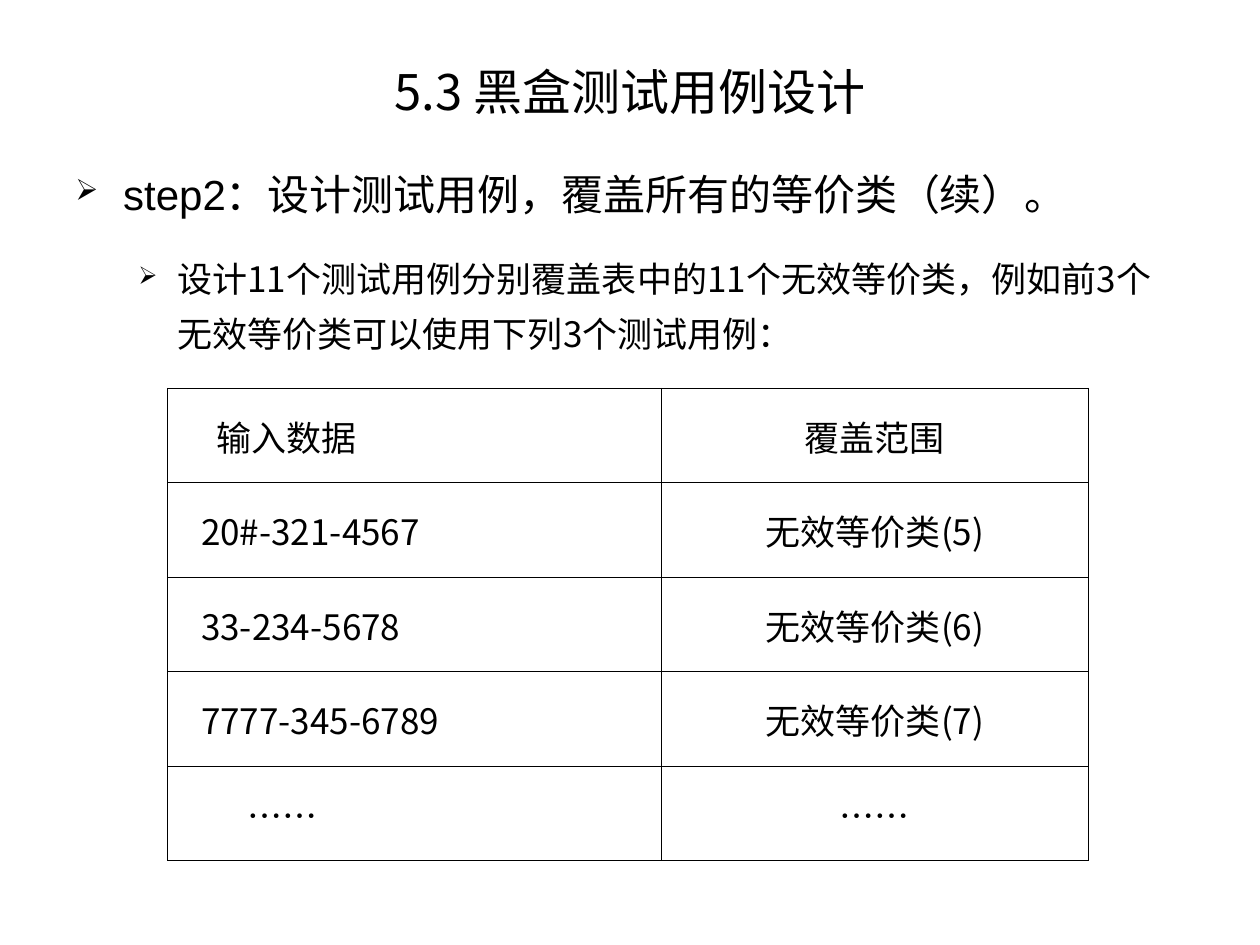
from dataclasses import dataclass

import pptx
import pptx.dml.color
import pptx.enum.text
import pptx.oxml
import pptx.oxml.ns
import pptx.util
from lxml import etree

Inches = pptx.util.Inches
Pt = pptx.util.Pt
ALIGN = pptx.enum.text.PP_ALIGN
MIDDLE = pptx.enum.text.MSO_ANCHOR.MIDDLE


@dataclass(frozen=True)
class Theme:
    """Hold the colours, fonts and type sizes of the slide."""
    ink: str = "000000"
    paper: str = "FFFFFF"
    latin: str = "Arial"
    chinese: str = "Noto Sans CJK SC"
    title: int = 28
    heading: int = 24
    text: int = 20
    border: float = 0.74
    bullet: str = "\u27a2"
    bullet_share: int = 70


THEME = Theme()
SLIDE_WIDTH, SLIDE_HEIGHT = 10, 7.5
TITLE_BOX = (0.05, 0.044, 0.9, 0.104)
BODY_BOX = (0.05, 0.156, 0.9, 0.79)
TABLE_BOX = (0.133, 0.411, 0.731, 0.5)
COLUMN_SHARES = (0.536, 0.464)
INDENT_STEP = 0.062
BULLETS = (
    ({"marL": 0.38, "indent": -0.38, "lvl": 0}, THEME.heading,
     (("step2：", THEME.latin), ("设计测试用例，覆盖所有的等价类（续）。", THEME.chinese))),
    ({"marL": 0.81, "indent": -0.31, "lvl": 1}, THEME.text,
     (("设计11个测试用例分别覆盖表中的11个无效等价类，例如前3个无效等价类可以使用下列3个测试用例：",
       THEME.chinese),)),
)
TEST_CASES = (
    (5, "输入数据", "覆盖范围"),
    (3, "20#-321-4567", "无效等价类(5)"),
    (3, "33-234-5678", "无效等价类(6)"),
    (3, "7777-345-6789", "无效等价类(7)"),
    (9, "……", "……"),
)


def apply(target, values):
    """Set every attribute in a dict of format values."""
    for name, value in values.items():
        setattr(target, name, value)


def add_element(parent, tag, **attributes):
    """Append a DrawingML element and return it."""
    element = etree.SubElement(parent, pptx.oxml.ns.qn(f"a:{tag}"))
    for name, value in attributes.items():
        element.set(name, str(value))
    return element


def place(box):
    """Turn shares of the slide into lengths."""
    sides = (SLIDE_WIDTH, SLIDE_HEIGHT) * 2
    return [Inches(share * side) for share, side in zip(box, sides)]


def add_run(paragraph, text, size, face=THEME.chinese):
    """Add a run in the theme ink."""
    run = paragraph.add_run()
    run.text = text
    apply(run.font, {"size": Pt(size), "name": face})
    run.font.color.rgb = pptx.dml.color.RGBColor.from_string(THEME.ink)
    add_element(run.font._element, "ea", typeface=THEME.chinese)


def add_title(slide, box):
    """Place the centred title."""
    frame = slide.shapes.add_textbox(*place(box)).text_frame
    apply(frame, {"word_wrap": True, "vertical_anchor": MIDDLE})
    frame.paragraphs[0].alignment = ALIGN.CENTER
    add_run(frame.paragraphs[0], "5.3 黑盒测试用例设计", THEME.title)


def add_bullets(slide, box):
    """Place the two levels of bulleted text."""
    frame = slide.shapes.add_textbox(*place(box)).text_frame
    frame.word_wrap = True
    for number, (indents, size, runs) in enumerate(BULLETS):
        paragraph = frame.add_paragraph() if number else frame.paragraphs[0]
        apply(paragraph, {"line_spacing": 1.3, "space_before": Pt(15),
                          "level": indents["lvl"]})
        properties = paragraph._p.get_or_add_pPr()
        for name in ("marL", "indent"):
            properties.set(name, str(int(Inches(indents[name]))))
        add_element(add_element(properties, "buClr"), "srgbClr", val=THEME.ink)
        add_element(properties, "buSzPct", val=THEME.bullet_share * 1000)
        add_element(properties, "buChar", char=THEME.bullet)
        for text, face in runs:
            add_run(paragraph, text, size, face)


def style_cell(cell):
    """Give a cell its borders, fill and margins."""
    apply(cell, {"vertical_anchor": MIDDLE,
                 "margin_left": Inches(0.08), "margin_right": Inches(0.08),
                 "margin_top": Inches(0.05), "margin_bottom": Inches(0.05)})
    properties = cell._tc.get_or_add_tcPr()
    for side in ("lnL", "lnR", "lnT", "lnB"):
        line = add_element(properties, side, w=int(Pt(THEME.border)))
        add_element(add_element(line, "solidFill"), "srgbClr", val=THEME.ink)
    cell.fill.solid()
    cell.fill.fore_color.rgb = pptx.dml.color.RGBColor.from_string(THEME.paper)


def add_test_cases(slide, box):
    """Place the table of inputs and covered classes."""
    left, top, width, height = place(box)
    table = slide.shapes.add_table(len(TEST_CASES), len(COLUMN_SHARES),
                                   left, top, width, height).table
    apply(table, {"first_row": False, "horz_banding": False})
    for column, share in zip(table.columns, COLUMN_SHARES):
        column.width = int(width * share)
    for row, (steps, *texts) in zip(table.rows, TEST_CASES):
        row.height = height // len(TEST_CASES)
        formats = ((ALIGN.LEFT, steps), (ALIGN.CENTER, 0))
        for cell, text, (alignment, indent) in zip(row.cells, texts, formats):
            style_cell(cell)
            paragraph = cell.text_frame.paragraphs[0]
            paragraph.alignment = alignment
            paragraph._p.get_or_add_pPr().set("marL", str(int(Inches(indent * INDENT_STEP))))
            add_run(paragraph, text, THEME.text)


def main():
    """Build and save the slide."""
    presentation = pptx.Presentation()
    apply(presentation, {"slide_width": Inches(SLIDE_WIDTH),
                         "slide_height": Inches(SLIDE_HEIGHT)})
    slide = presentation.slides.add_slide(presentation.slide_layouts[6])
    add_bullets(slide, BODY_BOX)
    add_test_cases(slide, TABLE_BOX)
    add_title(slide, TITLE_BOX)
    presentation.save("out.pptx")


main()
